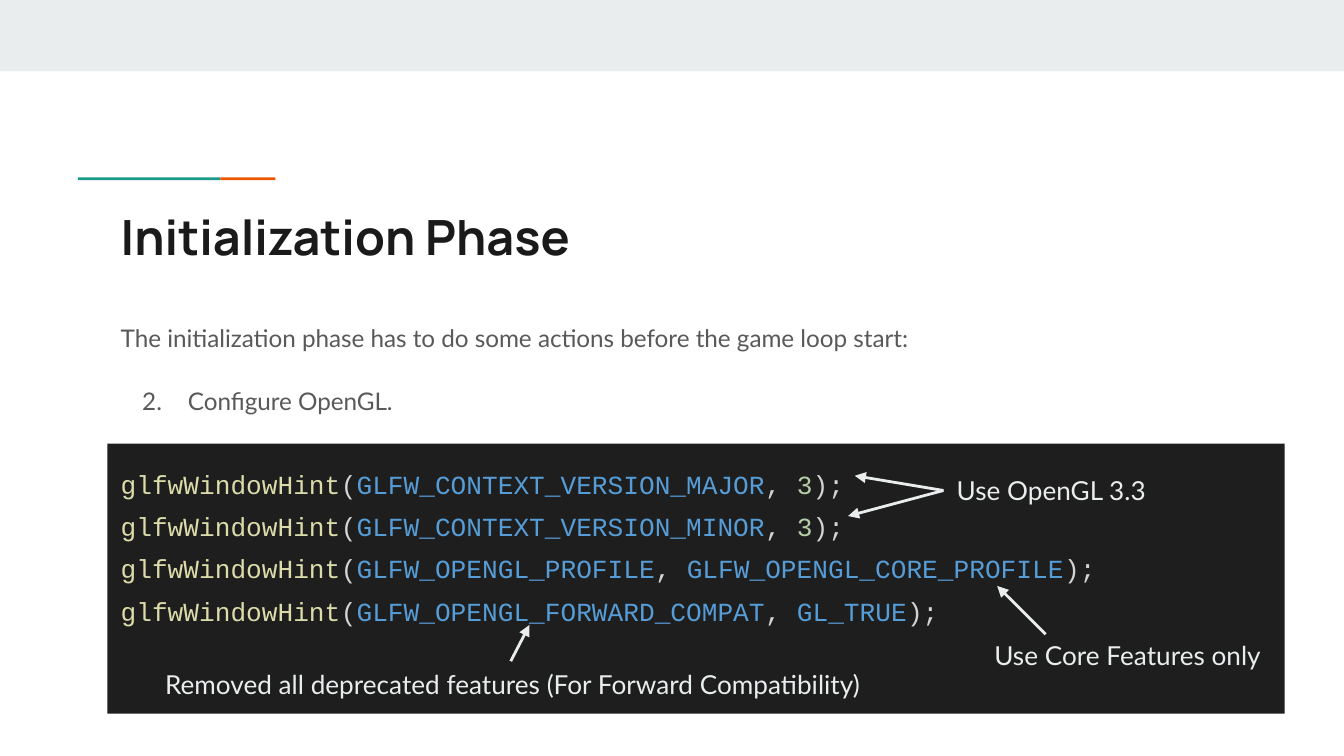
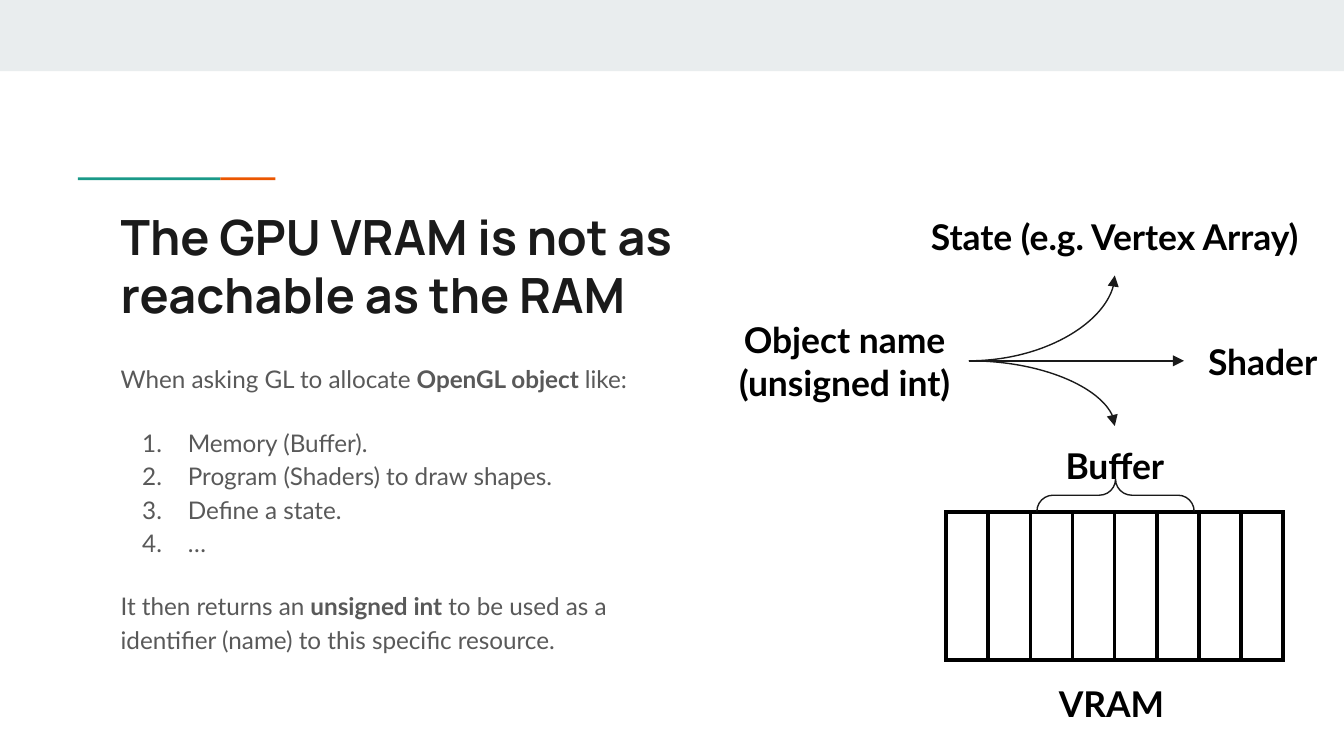
from dataclasses import dataclass
from typing import NamedTuple

from lxml.etree import SubElement
from pptx import Presentation
from pptx.dml.color import RGBColor
from pptx.enum.shapes import MSO_CONNECTOR as Connector, MSO_SHAPE as Preset
from pptx.enum.text import MSO_ANCHOR as Anchor, PP_ALIGN as Align
from pptx.oxml.ns import qn
from pptx.util import Inches, Pt


@dataclass(frozen=True)
class Theme:
    band: str = "E9EDEE"
    teal: str = "1A9988"
    orange: str = "EB5600"
    ink: str = "1A1A1A"
    body: str = "595959"
    black: str = "000000"
    panel: str = "1E1E1E"
    code_function: str = "DCDCAA"
    code_plain: str = "D4D4D4"
    code_constant: str = "569CD6"
    code_number: str = "B5CEA8"
    title_font: str = "Manrope"
    body_font: str = "Lato"
    code_font: str = "Courier New"
    title_size: int = 26
    body_size: int = 13
    note_size: int = 14
    label_size: int = 19


class Box(NamedTuple):
    left: float
    top: float
    width: float
    height: float

    def inner(self, left, top, width, height):
        return Box(self.left + left, self.top + top, width, height)

    def point(self, x, y):
        return Inches(self.left + x), Inches(self.top + y)

    def lengths(self):
        return [Inches(value) for value in self]


THEME = Theme()
SLIDE = Box(0, 0, 10, 10 * 9 / 16)

WINDOW_HINTS = [
    ("GLFW_CONTEXT_VERSION_MAJOR", "3"),
    ("GLFW_CONTEXT_VERSION_MINOR", "3"),
    ("GLFW_OPENGL_PROFILE", "GLFW_OPENGL_CORE_PROFILE"),
    ("GLFW_OPENGL_FORWARD_COMPAT", "GL_TRUE"),
]


def style_run(run, font, size, color, bold=False):
    run.font.name = font
    run.font.size = Pt(size)
    run.font.bold = bold
    run.font.color.rgb = RGBColor.from_string(color)


def prepare_frame(text_frame, anchor=Anchor.TOP):
    text_frame.word_wrap = True
    text_frame.vertical_anchor = anchor
    text_frame.margin_left = text_frame.margin_right = Inches(0.1)
    text_frame.margin_top = text_frame.margin_bottom = Inches(0.1)


def next_paragraph(text_frame, index):
    return text_frame.add_paragraph() if index else text_frame.paragraphs[0]


def add_text(slide, box, text, font, size, color, bold=False,
             align=Align.LEFT, anchor=Anchor.TOP):
    shape = slide.shapes.add_textbox(*box.lengths())
    prepare_frame(shape.text_frame, anchor)
    shape.text_frame.text = text
    for paragraph in shape.text_frame.paragraphs:
        paragraph.alignment = align
        for run in paragraph.runs:
            style_run(run, font, size, color, bold)
    return shape


def add_rectangle(slide, box, color):
    shape = slide.shapes.add_shape(Preset.RECTANGLE, *box.lengths())
    shape.shadow.inherit = False
    shape.fill.solid()
    shape.fill.fore_color.rgb = RGBColor.from_string(color)
    shape.line.fill.background()
    return shape


def add_arrow(slide, kind, start, end, color, width):
    connector = slide.shapes.add_connector(kind, *start, *end)
    connector.line.color.rgb = RGBColor.from_string(color)
    connector.line.width = Pt(width)
    properties = connector.element.spPr
    SubElement(properties.find(qn("a:ln")), qn("a:tailEnd"), type="triangle")
    SubElement(properties, qn("a:effectLst"))
    return connector


def add_number(paragraph, start):
    properties = paragraph._p.get_or_add_pPr()
    properties.set("marL", str(Inches(0.5)))
    properties.set("indent", str(Inches(-0.34)))
    color = SubElement(properties, qn("a:buClr"))
    SubElement(color, qn("a:srgbClr"), val=THEME.body)
    SubElement(properties, qn("a:buAutoNum"), type="arabicPeriod", startAt=str(start))


def draw_frame(slide, box, title, title_width):
    add_rectangle(slide, box.inner(0, 0, box.width, 0.53), THEME.band)
    add_rectangle(slide, box.inner(0.58, 1.32, 1.06, 0.02), THEME.teal)
    add_rectangle(slide, box.inner(1.64, 1.32, 0.41, 0.02), THEME.orange)
    add_text(slide, box.inner(0.8, 1.44, title_width, 0.59), title,
             THEME.title_font, THEME.title_size, THEME.ink, bold=True)


def draw_body(slide, box, intro, items, start=1, closing=None):
    text_frame = slide.shapes.add_textbox(*box.lengths()).text_frame
    prepare_frame(text_frame)
    texts = [intro, *items] + ([closing] if closing else [])
    for index, text in enumerate(texts):
        paragraph = next_paragraph(text_frame, index)
        if 1 <= index <= len(items):
            add_number(paragraph, start)
        paragraph.line_spacing = 1.15
        if index in (1, len(items) + 1):
            paragraph.space_before = Pt(16)
        for position, part in enumerate(text.split("*")):
            run = paragraph.add_run()
            run.text = part
            style_run(run, THEME.body_font, THEME.body_size, THEME.body, position % 2 == 1)


def draw_code_panel(slide, box):
    panel = add_rectangle(slide, box, THEME.panel)
    prepare_frame(panel.text_frame)
    for index, (hint, value) in enumerate(WINDOW_HINTS):
        paragraph = next_paragraph(panel.text_frame, index)
        paragraph.alignment = Align.LEFT
        paragraph.line_spacing = 1.35
        value_color = THEME.code_number if value.isdigit() else THEME.code_constant
        for text, color in [
            ("glfwWindowHint", THEME.code_function),
            ("(", THEME.code_plain),
            (hint, THEME.code_constant),
            (", ", THEME.code_plain),
            (value, value_color),
            (");", THEME.code_plain),
        ]:
            run = paragraph.add_run()
            run.text = text
            style_run(run, THEME.code_font, THEME.note_size, color)

    def note(left, top, width, text):
        return add_text(slide, box.inner(left, top, width, 0.44), text,
                        THEME.body_font, THEME.note_size, THEME.band)

    def pointer(start, end):
        return add_arrow(slide, Connector.STRAIGHT, box.point(*start), box.point(*end),
                         THEME.band, 1.5)

    version = note(6.22, 0.13, 1.7, "Use OpenGL 3.3")
    for tip in [(5.56, 0.24), (5.51, 0.54)]:
        pointer((6.22, 0.35), tip).begin_connect(version, 1)
    note(6.5, 1.36, 2.21, "Use Core Features only")
    pointer((6.98, 1.42), (6.62, 1.06))
    note(0.33, 1.57, 5.46, "Removed all deprecated features (For Forward Compatibility)")
    pointer((3, 1.62), (3.14, 1.35))


def draw_memory_cells(slide, box, count):
    table = slide.shapes.add_table(1, count, *box.lengths()).table
    table.first_row = table.horz_banding = False
    for column in table.columns:
        column.width = Inches(box.width / count)
    for cell in table.iter_cells():
        properties = cell._tc.get_or_add_tcPr()
        for side in ("lnL", "lnR", "lnT", "lnB"):
            border = SubElement(properties, qn(f"a:{side}"), w=str(Pt(2.25)))
            fill = SubElement(border, qn("a:solidFill"))
            SubElement(fill, qn("a:srgbClr"), val=THEME.black)
        cell.fill.background()


def draw_resource_diagram(slide, box):
    def label(left, top, width, text, height=0.59, align=Align.CENTER):
        return add_text(slide, box.inner(left, top, width, height), text, THEME.body_font,
                        THEME.label_size, THEME.black, True, align, Anchor.MIDDLE)

    draw_memory_cells(slide, box.inner(1.68, 2.35, 2.51, 1.1), 8)
    label(2.42, 3.5, 1.03, "VRAM", 0.54, Align.LEFT)
    name = label(0, 0.93, 1.85, "Object name\n(unsigned int)")
    buffer = label(1.71, 1.71, 2.45, "Buffer")
    shader = label(3.45, 0.93, 1.17, "Shader")
    state = label(1.42, 0, 3.03, "State (e.g. Vertex Array)")

    brace = slide.shapes.add_shape(Preset.LEFT_BRACE,
                                   *box.inner(2.82, 1.64, 0.24, 1.17).lengths())
    brace.rotation = 90
    brace.adjustments[0] = 0.5
    brace.shadow.inherit = False
    brace.fill.background()
    brace.line.color.rgb = RGBColor.from_string(THEME.ink)
    brace.line.width = Pt(0.75)

    for target, side, end, geometry in [
        (buffer, 0, (2.93, 1.71), "curvedConnector2"),
        (shader, 1, (3.45, 1.22), "curvedConnector3"),
        (state, 2, (2.93, 0.59), "curvedConnector2"),
    ]:
        connector = add_arrow(slide, Connector.CURVE, box.point(1.85, 1.22),
                              box.point(*end), THEME.ink, 0.75)
        connector.element.spPr.find(qn("a:prstGeom")).set("prst", geometry)
        connector.begin_connect(name, 3)
        connector.end_connect(target, side)


def build_initialization(slide):
    draw_frame(slide, SLIDE, "Initialization Phase", 8.41)
    draw_body(slide, SLIDE.inner(0.8, 2.27, 8.41, 0.95),
              "The initialization phase has to do some actions before the game loop start:",
              ["Configure OpenGL."], start=2)
    draw_code_panel(slide, SLIDE.inner(0.8, 3.3, 8.76, 2.01))


def build_video_memory(slide):
    draw_frame(slide, SLIDE, "The GPU VRAM is not as reachable as the RAM", 4.37)
    draw_body(slide, SLIDE.inner(0.8, 2.58, 4.56, 2.37),
              "When asking GL to allocate *OpenGL object* like:",
              ["Memory (Buffer).", "Program (Shaders) to draw shapes.", "Define a state.", "…"],
              closing="It then returns an *unsigned int* to be used as a identifier (name) "
                      "to this specific resource.")
    draw_resource_diagram(slide, SLIDE.inner(5.36, 1.46, 4.62, 4.04))


def main():
    presentation = Presentation()
    presentation.slide_width = Inches(SLIDE.width)
    presentation.slide_height = Inches(SLIDE.height)
    for build in (build_initialization, build_video_memory):
        build(presentation.slides.add_slide(presentation.slide_layouts[6]))
    presentation.save("out.pptx")


if __name__ == "__main__":
    main()
